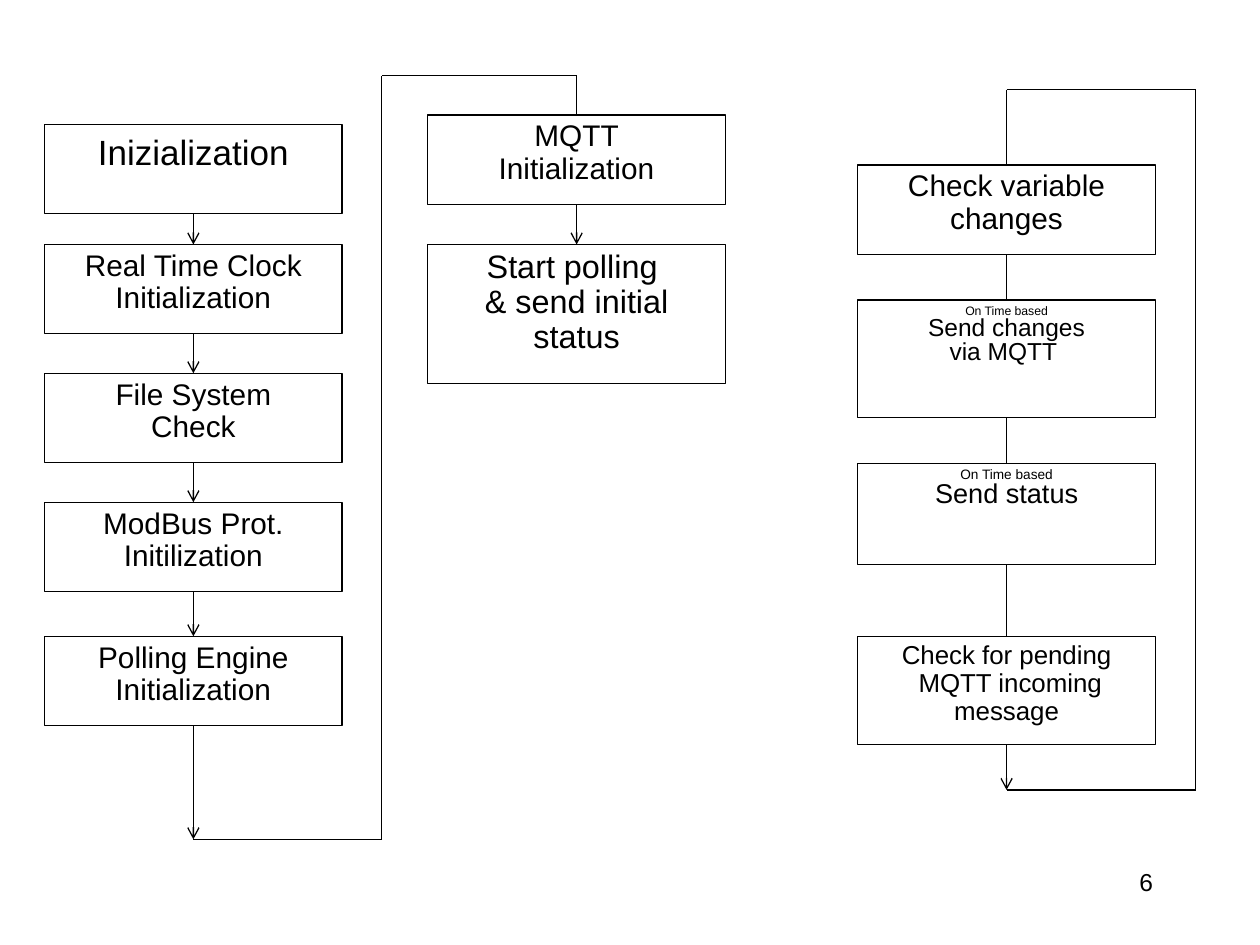
from dataclasses import dataclass
from itertools import pairwise

from lxml import etree
from pptx import Presentation
from pptx import util as u
from pptx.dml.color import RGBColor
from pptx.enum import shapes, text
from pptx.oxml.ns import qn

TOP, BOTTOM = 0, 2
BOX_WIDTH, BOX_HEIGHT = 170, 51
SETUP_LEFT, MQTT_LEFT, CYCLE_LEFT = 25.5, 244.5, 490.2


@dataclass
class Theme:
    font: str = "Arial"
    ink: RGBColor = RGBColor(0, 0, 0)
    paper: RGBColor = RGBColor(255, 255, 255)
    line_width: float = 0.75
    first_step: float = 20
    step: float = 17
    polling: float = 18.5
    pending: float = 14.8
    changes: float = 14
    changes_note: float = 7
    status: float = 15.5
    status_note: float = 7.8
    page_number: float = 14


class FlowSlide:
    """Draws flowchart parts on one slide; all lengths are in points."""

    def __init__(self, slide, theme):
        self.slide = slide
        self.theme = theme

    def set_text(self, frame, lines, alignment, spacing=1.0):
        """Fill a text frame with one paragraph for each (wording, size) pair."""
        frame.word_wrap = True
        frame.vertical_anchor = text.MSO_ANCHOR.TOP
        for index, (wording, size) in enumerate(lines):
            paragraph = frame.add_paragraph() if index else frame.paragraphs[0]
            paragraph.text = wording
            paragraph.alignment = alignment
            paragraph.line_spacing = spacing
            paragraph.font.name = self.theme.font
            paragraph.font.size = u.Pt(size)
            paragraph.font.color.rgb = self.theme.ink

    def box(self, left, top, height, lines, spacing=0.9):
        shape = self.slide.shapes.add_shape(
            shapes.MSO_SHAPE.RECTANGLE,
            u.Pt(left), u.Pt(top), u.Pt(BOX_WIDTH), u.Pt(height))
        shape.shadow.inherit = False
        shape.fill.solid()
        shape.fill.fore_color.rgb = self.theme.paper
        shape.line.color.rgb = self.theme.ink
        shape.line.width = u.Pt(self.theme.line_width)
        self.set_text(shape.text_frame, lines, text.PP_ALIGN.CENTER, spacing)
        return shape

    def line(self, start=(0, 0), end=(0, 0), source=None, target=None, arrow=False):
        """Draw a line; source and target are (box, side) joins that replace the points."""
        connector = self.slide.shapes.add_connector(
            shapes.MSO_CONNECTOR.STRAIGHT, *map(u.Pt, (*start, *end)))
        if source:
            connector.begin_connect(*source)
        if target:
            connector.end_connect(*target)
        connector.line.color.rgb = self.theme.ink
        connector.line.width = u.Pt(self.theme.line_width)
        properties = connector._element.spPr
        if arrow:
            etree.SubElement(properties.find(qn("a:ln")), qn("a:tailEnd"), type="arrow")
        etree.SubElement(properties, qn("a:effectLst"))

    def chain(self, boxes, arrow):
        for upper, lower in pairwise(boxes):
            self.line(source=(upper, BOTTOM), target=(lower, TOP), arrow=arrow)

    def loop(self, last, first, corners):
        """Lead from the last box around the corners to the top of the first box."""
        self.line(end=corners[0], source=(last, BOTTOM), arrow=True)
        for start, end in pairwise(corners):
            self.line(start, end)
        self.line(start=corners[-1], target=(first, TOP))

    def label(self, left, top, width, height, wording, size):
        shape = self.slide.shapes.add_textbox(*map(u.Pt, (left, top, width, height)))
        self.set_text(shape.text_frame, [(wording, size)], text.PP_ALIGN.RIGHT)


def corners_around(bottom_x, bottom, side, top, top_x):
    return [(bottom_x, bottom), (side, bottom), (side, top), (top_x, top)]


def main():
    presentation = Presentation()
    presentation.slide_width, presentation.slide_height = u.Pt(720), u.Pt(540)
    theme = Theme()
    slide = presentation.slides.add_slide(presentation.slide_layouts[6])
    flow = FlowSlide(slide, theme)
    setup_middle, mqtt_middle, cycle_middle = (
        left + BOX_WIDTH / 2 for left in (SETUP_LEFT, MQTT_LEFT, CYCLE_LEFT))

    setup = [flow.box(SETUP_LEFT, 71, BOX_HEIGHT,
                      [("Inizialization", theme.first_step)], spacing=1.0)]
    for top, wording in [
        (139.7, "Real Time Clock\nInitialization"),
        (213.3, "File System\nCheck"),
        (287, "ModBus Prot.\nInitilization"),
        (363.6, "Polling Engine\nInitialization"),
    ]:
        setup.append(flow.box(SETUP_LEFT, top, BOX_HEIGHT, [(wording, theme.step)]))

    mqtt = [
        flow.box(MQTT_LEFT, 65.7, BOX_HEIGHT, [("MQTT\nInitialization", theme.step)]),
        flow.box(MQTT_LEFT, 139.7, 79.3,
                 [("Start polling \n& send initial status", theme.polling)]),
    ]

    cycle = [
        flow.box(CYCLE_LEFT, 94.3, BOX_HEIGHT,
                 [("Check variable\nchanges", theme.step)]),
        flow.box(CYCLE_LEFT, 171.5, 67,
                 [("On Time based", theme.changes_note),
                  ("Send changes\nvia MQTT ", theme.changes)], spacing=0.8),
        flow.box(CYCLE_LEFT, 264.7, 58,
                 [("On Time based", theme.status_note),
                  ("Send status", theme.status)], spacing=0.8),
        flow.box(CYCLE_LEFT, 363.6, 62,
                 [("Check for pending\n MQTT incoming message", theme.pending)]),
    ]

    flow.chain(setup, arrow=True)
    flow.chain(mqtt, arrow=True)
    flow.chain(cycle, arrow=False)
    flow.loop(setup[-1], mqtt[0],
              corners_around(setup_middle, 479.6, 218.2, 43.2, mqtt_middle))
    flow.loop(cycle[-1], cycle[0],
              corners_around(cycle_middle, 451.4, 683.3, 51.2, cycle_middle))
    flow.label(516, 492, 150, 36, "6", theme.page_number)

    presentation.save("out.pptx")


if __name__ == "__main__":
    main()
